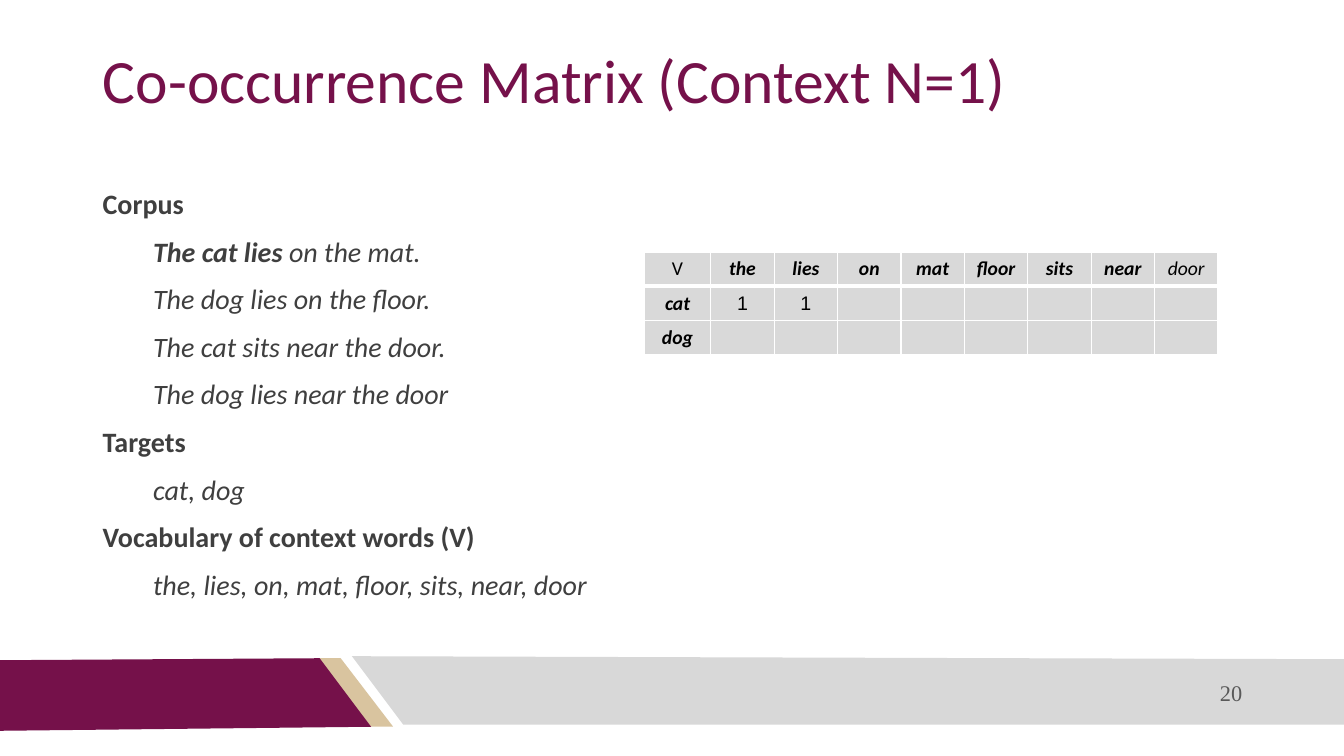
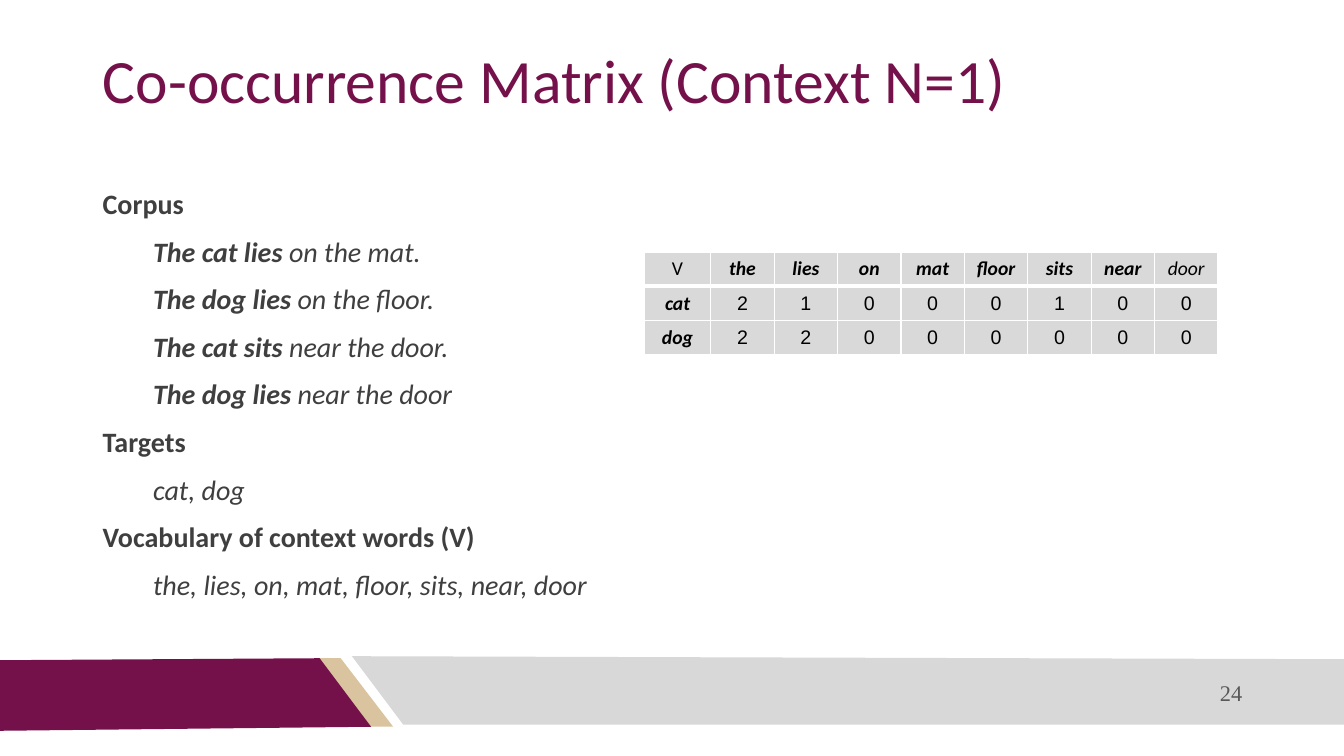
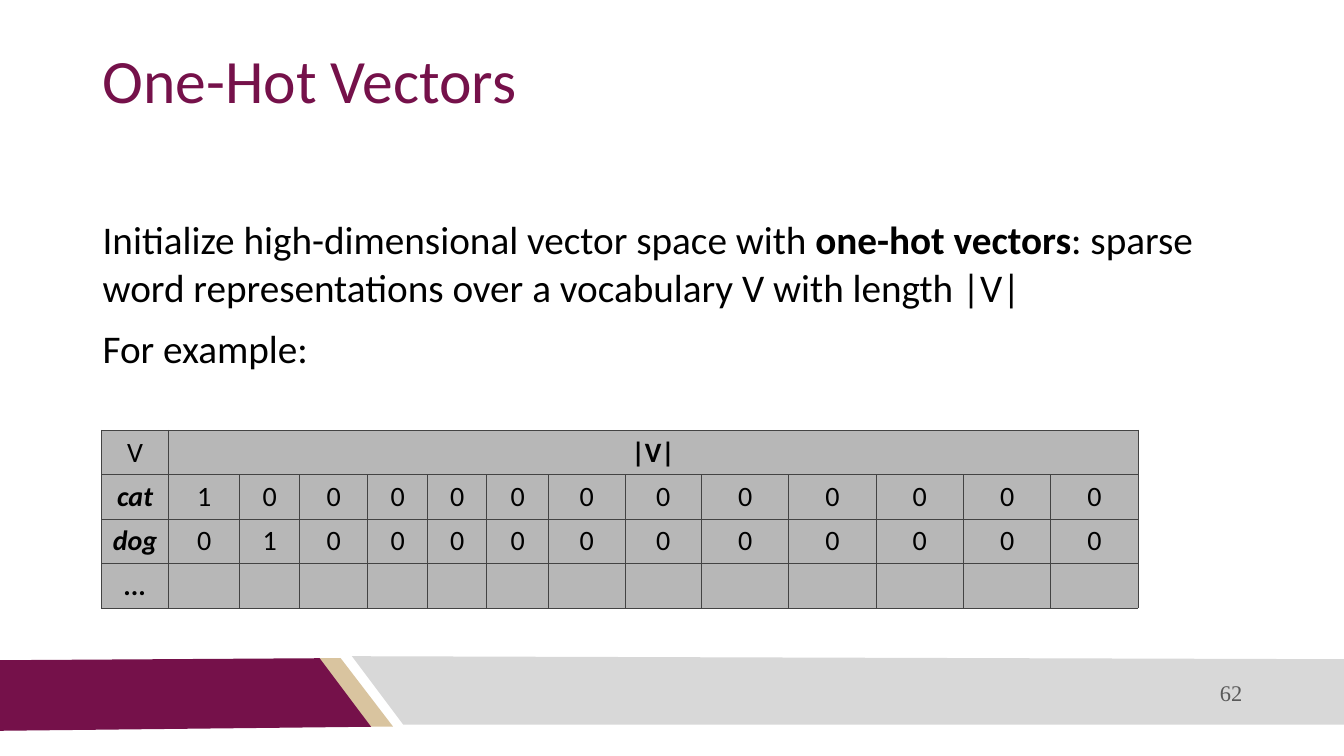
import pptx
import pptx.dml.color
import pptx.enum.text
import pptx.oxml.ns
import pptx.util
from lxml import etree

Inches = pptx.util.Inches
Pt = pptx.util.Pt
RGBColor = pptx.dml.color.RGBColor
PP_ALIGN = pptx.enum.text.PP_ALIGN
MSO_ANCHOR = pptx.enum.text.MSO_ANCHOR

MAROON = RGBColor(0x75, 0x11, 0x4A)
TAN = RGBColor(0xD9, 0xC4, 0x9F)
BAND_GREY = RGBColor(0xD8, 0xD8, 0xD8)
CELL_GREY = RGBColor(0xD9, 0xD9, 0xD9)
VECTOR_GREY = RGBColor(0xB7, 0xB7, 0xB7)
VECTOR_LINE = RGBColor(0x43, 0x43, 0x43)
BODY_GREY = RGBColor(0x3F, 0x3F, 0x3F)
NUMBER_GREY = RGBColor(0x59, 0x59, 0x59)
BLACK = RGBColor(0, 0, 0)
WHITE = RGBColor(255, 255, 255)

BANDS = [
    (TAN, [(3.16, 6.53), (3.38, 6.53), (3.9, 7.21), (3.67, 7.21)]),
    (MAROON, [(-0.01, 6.55), (3.17, 6.53), (3.68, 7.21), (-0.01, 7.25)]),
    (BAND_GREY, [(3.49, 6.51), (13.34, 6.54), (13.37, 7.19), (4, 7.19)]),
]


class Deck:
    """Slides in one house style, built element by element."""

    def __init__(self):
        self.prs = pptx.Presentation()
        self.prs.slide_width = Inches(13.33)
        self.prs.slide_height = Inches(7.5)

    def slide(self, title, number):
        self.s = self.prs.slides.add_slide(self.prs.slide_layouts[5])
        for color, points in BANDS:
            self.band(color, points)
        self.title(title)
        tf = self.frame(self.s.shapes.add_textbox(
            Inches(7.92), Inches(6.69), Inches(4.5), Inches(0.4)), 0.05)
        p = tf.paragraphs[0]
        p.alignment = PP_ALIGN.RIGHT
        self.run(p, str(number), 16, NUMBER_GREY, font="Times New Roman")

    def band(self, color, points):
        start, *rest = [(Inches(x), Inches(y)) for x, y in points]
        builder = self.s.shapes.build_freeform(*start)
        builder.add_line_segments(rest, close=True)
        sp = builder.convert_to_shape()
        sp.shadow.inherit = False
        sp.fill.solid()
        sp.fill.fore_color.rgb = color
        sp.line.fill.background()

    def frame(self, sp, inset):
        tf = sp.text_frame
        tf.word_wrap = True
        tf.auto_size = pptx.enum.text.MSO_AUTO_SIZE.NONE
        tf.vertical_anchor = MSO_ANCHOR.TOP
        tf.margin_left = tf.margin_right = Inches(0.1)
        tf.margin_top = tf.margin_bottom = Inches(inset)
        return tf

    def run(self, p, text, size, color, style="", font="Calibri"):
        r = p.add_run()
        r.text = text
        r.font.size = Pt(size)
        r.font.name = font
        r.font.color.rgb = color
        r.font.bold = "b" in style
        r.font.italic = "i" in style

    def title(self, text):
        sp = self.s.shapes.title
        sp.left, sp.top = Inches(0.92), Inches(0.4)
        sp.width, sp.height = Inches(11.5), Inches(1.45)
        p = self.frame(sp, 0.1).paragraphs[0]
        p.alignment = PP_ALIGN.LEFT
        p.line_spacing = 0.9
        self.run(p, text, 44, MAROON)

    def body(self, top, width, height, size, color, paragraphs):
        tf = self.frame(self.s.shapes.add_textbox(
            Inches(0.92), Inches(top), Inches(width), Inches(height)), 0.1)
        for n, (indent, runs) in enumerate(paragraphs):
            p = tf.add_paragraph() if n else tf.paragraphs[0]
            if n:
                p.space_before = Pt(10)
            if indent:
                p._p.get_or_add_pPr().set("marL", str(Inches(indent)))
            for text, style in runs:
                self.run(p, text, size, color, style)

    def border(self, cell, side, color, width):
        qn = pptx.oxml.ns.qn
        ln = etree.SubElement(cell._tc.get_or_add_tcPr(), qn("a:ln" + side),
                              w=str(Pt(width)))
        fill = etree.SubElement(ln, qn("a:solidFill"))
        etree.SubElement(fill, qn("a:srgbClr"), val=str(color))

    def table(self, left, top, cols, row_height, rows, size, fill, line,
              widths, digit_font="Calibri", anchor=MSO_ANCHOR.TOP):
        """Rows hold (text, style) cells; widths are the body and header rules."""
        table = self.s.shapes.add_table(
            len(rows), len(cols), Inches(left), Inches(top),
            Inches(sum(cols)), Inches(row_height * len(rows))).table
        table.first_row = table.horz_banding = False
        for col, width in zip(table.columns, cols):
            col.width = Inches(width)
        thin, thick = widths
        for y, row in enumerate(rows):
            table.rows[y].height = Inches(row_height)
            for x in range(len(cols)):
                cell = table.cell(y, x)
                rules = {"L": thin, "R": thin,
                         "T": thick if y == 1 else thin,
                         "B": thick if y == 0 else thin}
                for side, width in rules.items():
                    self.border(cell, side, line, width)
                cell.fill.solid()
                cell.fill.fore_color.rgb = fill
                cell.vertical_anchor = anchor
                p = cell.text_frame.paragraphs[0]
                p.alignment = PP_ALIGN.CENTER
                text, style = row[x] if x < len(row) else ("", "")
                if text:
                    font = digit_font if text.isdigit() else "Calibri"
                    self.run(p, text, size, BLACK, style, font)
                else:
                    p._p.get_or_add_endParaRPr().set("sz", str(size * 100))
        return table

    def matrix(self, title, number, sentences, cat, dog):
        self.slide(title, number)
        self.body(1.75, 11.5, 4.44, 20, BODY_GREY, [
            (0, [("Corpus", "b")]),
            *[(0.5, runs) for runs in sentences],
            (0, [("Targets", "b")]),
            (0.5, [("cat, dog", "i")]),
            (0, [("Vocabulary of context words (V)", "b")]),
            (0.5, [(", ".join(VOCABULARY), "i")]),
        ])
        header = [("V", "")] + [(word, "bi") for word in VOCABULARY[:-1]]
        header.append((VOCABULARY[-1], "i"))
        self.table(6.39, 2.5, fill_columns([0.66], 8, 5.69), 0.34,
                   [header, vector("cat", cat), vector("dog", dog)],
                   14, CELL_GREY, WHITE, (1, 3), "Arial", MSO_ANCHOR.MIDDLE)


VOCABULARY = ["the", "lies", "on", "mat", "floor", "sits", "near", "door"]
SENTENCES = [
    ("The cat lies", " on the mat."),
    ("The dog lies", " on the floor."),
    ("The cat sits", " near the door."),
    ("The dog lies", " near the door"),
]


def fill_columns(first, count, total):
    """Column widths: the first ones as given, then equal ones up to the total."""
    return first + [(total - sum(first)) / count] * count


def vector(word, digits):
    return [(word, "bi")] + [(digit, "") for digit in digits]


def corpus(counted):
    """Sentences as runs, with the context bold in the first counted ones."""
    return [[(context, "bi"), (rest, "i")] if n < counted
            else [(context + rest, "i")]
            for n, (context, rest) in enumerate(SENTENCES)]


def main():
    deck = Deck()
    matrix_title = "Co-occurrence Matrix (Context N=1)"
    deck.matrix(matrix_title, 20, corpus(1), "11", "")
    deck.matrix(matrix_title, 24, corpus(4), "21000100", "22000000")

    deck.slide("One-Hot Vectors", 62)
    deck.body(2.04, 11.24, 1.99, 28, BLACK, [
        (0, [("Initialize high-dimensional vector space with ", ""),
             ("one-hot vectors", "b"),
             (": sparse word representations over a vocabulary V "
              "with length |V|", "")]),
        (0, [("For example:", "")]),
    ])
    cols = fill_columns(
        [0.66, 0.71, 0.59, 0.68, 0.59, 0.59, 0.61, 0.76, 0.76], 5, 10.28)
    table = deck.table(
        1.01, 4.27, cols, 0.44,
        [[("V", ""), ("|V|", "b")],
         vector("cat", "1" + "0" * 12),
         vector("dog", "01" + "0" * 11),
         vector("...", "")],
        20, VECTOR_GREY, VECTOR_LINE, (0.75, 0.75))
    table.cell(0, 1).merge(table.cell(0, len(cols) - 1))
    deck.prs.save("out.pptx")


if __name__ == "__main__":
    main()
